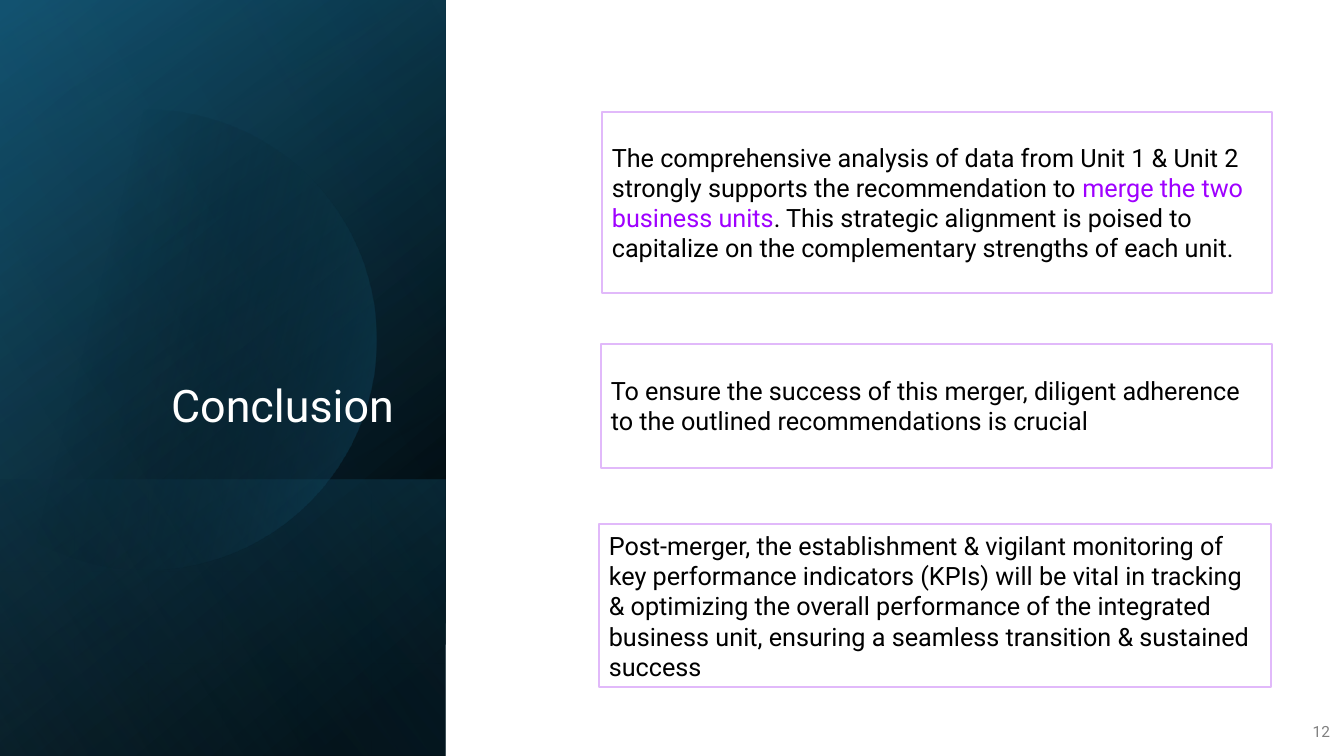
from math import acos, cos, pi, sin

from lxml.etree import SubElement
from pptx import Presentation
from pptx.dml.color import RGBColor
from pptx.enum.shapes import MSO_SHAPE
from pptx.enum.text import MSO_ANCHOR, PP_ALIGN
from pptx.oxml.ns import qn
from pptx.util import Inches, Pt

WHITE = RGBColor(0xFF, 0xFF, 0xFF)
BLACK = RGBColor(0x00, 0x00, 0x00)
GRAY = RGBColor(0x80, 0x80, 0x80)
VIOLET = RGBColor(0x9F, 0x00, 0xFF)
LILAC = RGBColor(0xE1, 0xB9, 0xFA)
DEEP_TEAL = RGBColor(0x10, 0x48, 0x62)
TEAL = RGBColor(0x15, 0x60, 0x82)
SKY = RGBColor(0x46, 0xB1, 0xE1)

TITLE = "Conclusion"
PAGE_NUMBER = "12"
CONCLUSIONS = [
    ((5.97, 1.11, 6.65, 1.8), [
        ("The comprehensive analysis of data from Unit 1 & Unit 2 strongly supports "
         "the recommendation to ", BLACK),
        ("merge the two business units", VIOLET),
        (". This strategic alignment is poised to capitalize on the complementary "
         "strengths of each unit.", BLACK)]),
    ((5.96, 3.41, 6.66, 1.23), [
        ("To ensure the success of this merger, diligent adherence to the outlined "
         "recommendations is crucial", BLACK)]),
    ((5.94, 5.2, 6.67, 1.62), [
        ("Post-merger, the establishment & vigilant monitoring of key performance "
         "indicators (KPIs) will be vital in tracking & optimizing the overall "
         "performance of the integrated business unit, ensuring a seamless transition "
         "& sustained success", BLACK)]),
]

PANEL_WIDTH, PANEL_HEIGHT, BAND_TOP = 4.42, 7.5, 4.76
LOWER_PANELS = [
    (0, 230, [(8, BLACK, 100), (100, DEEP_TEAL, 100)]),
    (0, 240, [(0, BLACK, 0), (99, TEAL, 46)]),
    (BAND_TOP, 140, [(2, TEAL, 29), (100, BLACK, 30)]),
]
DISC_FILL = (14, [(29, BLACK, 0), (100, TEAL, 43)])
UPPER_PANELS = [(0, 150, [(0, BLACK, 0), (99, SKY, 11)])]
DISC_X, DISC_Y, DISC_RADIUS, DISC_STEPS = 1.45, 3.37, 2.28, 120


def fill_gradient(shape, angle, stops):
    """Give a shape a borderless linear gradient of (position, colour, opacity) stops."""
    shape.shadow.inherit = False
    shape.line.fill.background()
    shape.fill.gradient()
    gradient = shape.element.spPr.find(qn("a:gradFill"))
    for child in list(gradient):
        gradient.remove(child)
    stop_list = SubElement(gradient, qn("a:gsLst"))
    for position, color, opacity in stops:
        stop = SubElement(stop_list, qn("a:gs"), pos=str(position * 1000))
        tone = SubElement(stop, qn("a:srgbClr"), val=str(color))
        SubElement(tone, qn("a:alpha"), val=str(opacity * 1000))
    SubElement(gradient, qn("a:lin"), ang=str(angle * 60000), scaled="0")


def add_panels(page, panels):
    """Stack gradient panels that reach from their top to the foot of the page."""
    for top, angle, stops in panels:
        panel = page.shapes.add_shape(
            MSO_SHAPE.RECTANGLE, 0, Inches(top), Inches(PANEL_WIDTH),
            Inches(PANEL_HEIGHT - top))
        fill_gradient(panel, angle, stops)


def add_disc(page):
    """Draw the disc that is cut off by the left edge of the page."""
    limit = acos(-DISC_X / DISC_RADIUS)
    angles = [limit * (2 * step / DISC_STEPS - 1) for step in range(DISC_STEPS + 1)]
    points = [(Inches(DISC_X + DISC_RADIUS * cos(angle)),
               Inches(DISC_Y + DISC_RADIUS * sin(angle))) for angle in angles]
    builder = page.shapes.build_freeform(*points[0])
    builder.add_line_segments(points[1:], close=True)
    fill_gradient(builder.convert_to_shape(), *DISC_FILL)


def write_text(shape, spans, size, anchor, **paragraph_format):
    """Fill a shape with one paragraph of (text, colour) spans."""
    frame = shape.text_frame
    frame.word_wrap = True
    frame.vertical_anchor = anchor
    para = frame.paragraphs[0]
    for name, value in paragraph_format.items():
        setattr(para, name, value)
    for text, color in spans:
        span = para.add_run()
        span.text = text
        for name, value in {"name": "Roboto", "size": Pt(size)}.items():
            setattr(span.font, name, value)
        span.font.color.rgb = color


def place(values):
    """Turn a tuple of inches into lengths."""
    return [Inches(value) for value in values]


def main():
    """Build the conclusion slide."""
    deck = Presentation()
    deck.slide_width, deck.slide_height = Inches(13.33), Inches(7.5)
    page = deck.slides.add_slide(deck.slide_layouts[5])

    add_panels(page, LOWER_PANELS)
    add_disc(page)
    add_panels(page, UPPER_PANELS)

    title = page.shapes.title
    title.left, title.top, title.width, title.height = place((0.33, 0.64, 3.68, 3.7))
    title.element.getparent().append(title.element)
    write_text(title, [(TITLE, WHITE)], 32, MSO_ANCHOR.BOTTOM,
               alignment=PP_ALIGN.RIGHT, line_spacing=0.9)

    number = page.shapes.add_textbox(*place((12.8, 7.06, 0.49, 0.4)))
    write_text(number, [(PAGE_NUMBER, GRAY)], 11, MSO_ANCHOR.MIDDLE,
               alignment=PP_ALIGN.RIGHT, space_after=Pt(6))

    for position, spans in CONCLUSIONS:
        box = page.shapes.add_shape(MSO_SHAPE.RECTANGLE, *place(position))
        box.shadow.inherit = False
        box.fill.solid()
        box.fill.fore_color.rgb = WHITE
        box.line.color.rgb = LILAC
        box.line.width = Pt(1.5)
        write_text(box, spans, 18, MSO_ANCHOR.MIDDLE, alignment=PP_ALIGN.LEFT)

    deck.save("out.pptx")


if __name__ == "__main__":
    main()
